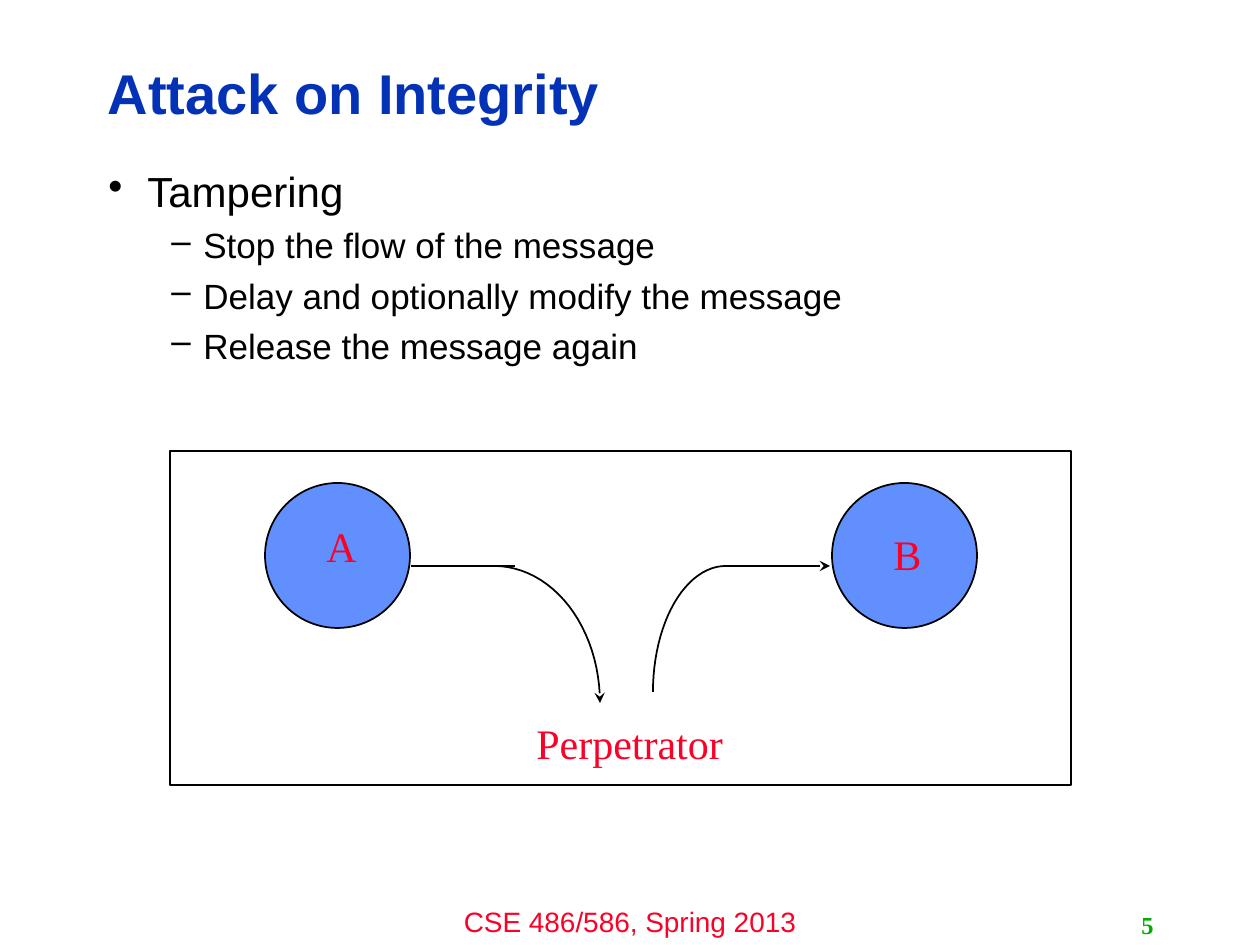
from math import cos, radians, sin

from lxml import etree
from pptx import Presentation
from pptx.dml.color import RGBColor
from pptx.enum.shapes import MSO_CONNECTOR, MSO_SHAPE
from pptx.enum.text import MSO_ANCHOR, PP_ALIGN
from pptx.oxml.ns import qn
from pptx.util import Pt

EMU_PER_PX = 914400 / 126
BLACK = RGBColor(0x00, 0x00, 0x00)
WHITE = RGBColor(0xFF, 0xFF, 0xFF)
RED = RGBColor(0xFC, 0x01, 0x28)
GREEN = RGBColor(0x00, 0xAE, 0x00)
NAVY = RGBColor(0x03, 0x32, 0xB7)
BLUE = RGBColor(0x61, 0x8F, 0xFD)
SANS = "Arial"
SERIF = "Times New Roman"
LEFT, CENTER, RIGHT = PP_ALIGN.LEFT, PP_ALIGN.CENTER, PP_ALIGN.RIGHT
TOP, MIDDLE = MSO_ANCHOR.TOP, MSO_ANCHOR.MIDDLE
RECTANGLE, OVAL = MSO_SHAPE.RECTANGLE, MSO_SHAPE.OVAL
STRAIGHT = MSO_CONNECTOR.STRAIGHT


def px(length):
    return round(length * EMU_PER_PX)


def box_emu(*box):
    return [px(length) for length in box]


def write(paragraph, text, size=24, font=SERIF, color=RED, bold=False,
          align=LEFT, line_spacing=1.0, space_before=0):
    paragraph.text = text
    paragraph.alignment = align
    paragraph.line_spacing = line_spacing
    paragraph.space_before = Pt(space_before)
    paragraph.font.size = Pt(size)
    paragraph.font.name = font
    paragraph.font.bold = bold
    paragraph.font.color.rgb = color


def add_label(shapes, box, text, wrap=True, anchor=TOP, **text_format):
    frame = shapes.add_textbox(*box_emu(*box)).text_frame
    frame.word_wrap = wrap
    frame.vertical_anchor = anchor
    write(frame.paragraphs[0], text, **text_format)


def add_bullet(paragraph, character, margin, hanging):
    properties = paragraph._p.get_or_add_pPr()
    properties.set("marL", str(px(margin)))
    properties.set("indent", str(-px(hanging)))
    etree.SubElement(properties, qn("a:buChar")).set("char", character)


def style_line(shape, arrow=False):
    shape.line.color.rgb = BLACK
    shape.line.width = Pt(1)
    if arrow:
        tail = etree.SubElement(shape.line._get_or_add_ln(), qn("a:tailEnd"))
        tail.set("type", "stealth")


def add_outlined(shapes, kind, box, fill):
    shape = shapes.add_shape(kind, *box_emu(*box))
    shape.shadow.inherit = False
    shape.fill.solid()
    shape.fill.fore_color.rgb = fill
    style_line(shape)


def add_straight(shapes, x1, x2, y, arrow=False):
    line = shapes.add_connector(STRAIGHT, *box_emu(x1, y, x2, y))
    style_line(line, arrow)
    etree.SubElement(line._element.spPr, qn("a:effectLst"))


def add_quarter_curve(shapes, center, radii, start_angle, arrow=False):
    steps = 24
    angles = [radians(start_angle + 90 * step / steps) for step in range(steps + 1)]
    points = [(px(center[0] + radii[0] * cos(angle)),
               px(center[1] + radii[1] * sin(angle))) for angle in angles]
    builder = shapes.build_freeform(*points[0])
    builder.add_line_segments(points[1:], close=False)
    curve = builder.convert_to_shape()
    curve.shadow.inherit = False
    curve.fill.background()
    style_line(curve, arrow)


def build_title(slide, box):
    title = slide.shapes.title
    title.left, title.top, title.width, title.height = box_emu(*box)
    title.text_frame.vertical_anchor = MIDDLE
    write(title.text_frame.paragraphs[0], "Attack on Integrity", size=32,
          font=SANS, color=NAVY, bold=True, line_spacing=0.9)


def build_body(slide, box):
    frame = slide.shapes.add_textbox(*box_emu(*box)).text_frame
    frame.word_wrap = True
    heading = frame.paragraphs[0]
    add_bullet(heading, "•", 39, 39)
    write(heading, "Tampering", font=SANS, color=BLACK, line_spacing=0.9)
    for text in ("Stop the flow of the message",
                 "Delay and optionally modify the message",
                 "Release the message again"):
        paragraph = frame.add_paragraph()
        paragraph.level = 1
        add_bullet(paragraph, "–", 95, 32)
        write(paragraph, text, size=20, font=SANS, color=BLACK,
              line_spacing=0.9, space_before=7)


def build_diagram(slide, box):
    left, top, width, height = box
    shapes = slide.shapes.add_group_shape().shapes
    flow_y = top + 115
    add_outlined(shapes, RECTANGLE, box, WHITE)
    for offset in (95, 662):
        add_outlined(shapes, OVAL, (left + offset, top + 32, 145, 145), BLUE)
    add_straight(shapes, left + 241, left + 345, flow_y)
    add_quarter_curve(shapes, (left + 324, flow_y + 137), (106, 137), -90, arrow=True)
    add_quarter_curve(shapes, (left + 556, flow_y + 126), (73, 126), 180)
    add_straight(shapes, left + 556, left + 660, flow_y, arrow=True)
    for text, x, y, label_width in (("A", 144, 63, 55), ("B", 711, 71, 53),
                                    ("Perpetrator", 354, 260, 212)):
        add_label(shapes, (left + x, top + y, label_width, 63), text, wrap=False)


def build_footer(slide, box):
    left, top, width, height = box
    add_label(slide.shapes, (left, top, 420, height), "CSE 486/586, Spring 2013",
              size=16, font=SANS, align=CENTER)
    add_label(slide.shapes, (left + width - 262, top + 7, 262, 40), "5",
              anchor=MIDDLE, size=14, color=GREEN, bold=True, align=RIGHT)


def main():
    presentation = Presentation()
    presentation.slide_width = px(1260)
    presentation.slide_height = px(945)
    slide = presentation.slides.add_slide(presentation.slide_layouts[5])
    build_title(slide, (95, 45, 1005, 102))
    build_body(slide, (96, 165, 1058, 679))
    build_diagram(slide, (170, 451, 901, 334))
    build_footer(slide, (420, 898, 746, 47))
    presentation.save("out.pptx")


if __name__ == "__main__":
    main()
